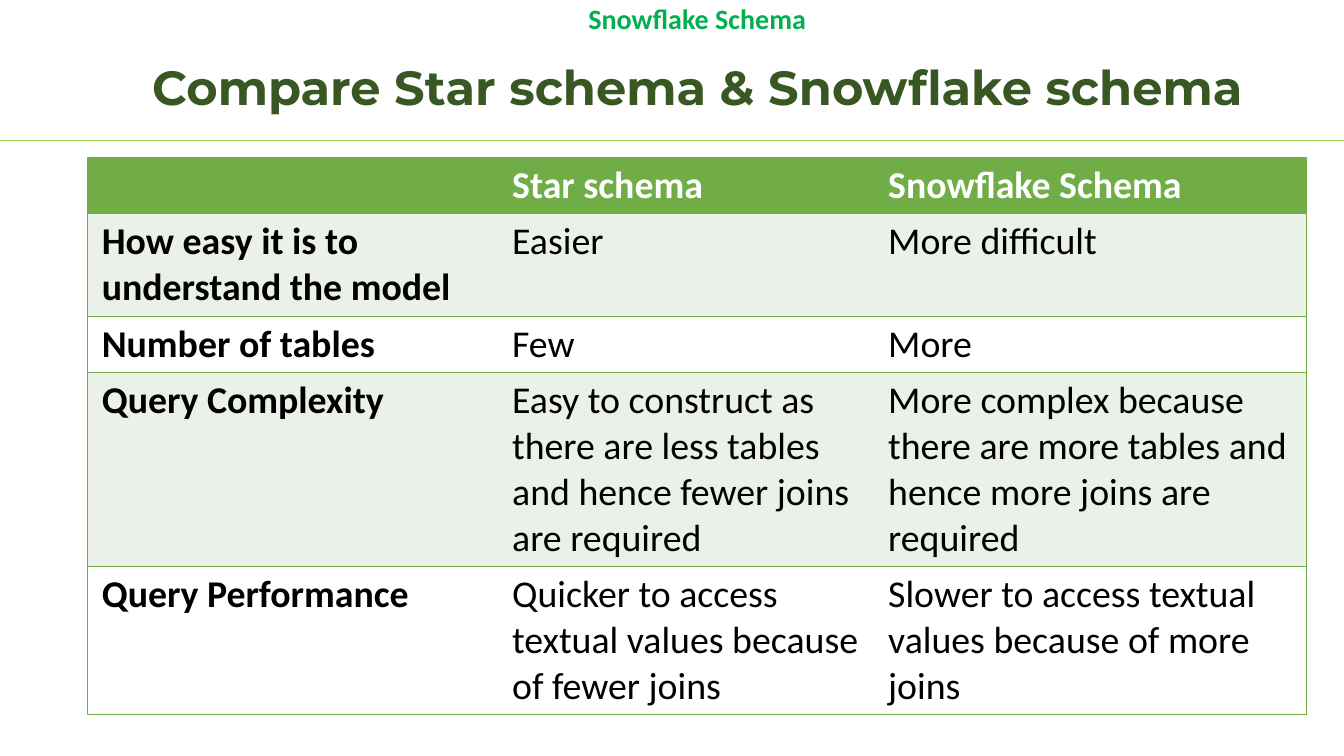
import pptx
import pptx.util
import pptx.dml.color
import pptx.enum.shapes
import pptx.enum.text
import pptx.oxml
import pptx.oxml.ns
from dataclasses import dataclass

Inches = pptx.util.Inches
Pt = pptx.util.Pt


@dataclass(frozen=True)
class Theme:
    """Colours, fonts and type sizes of the slide."""
    green: str = "70AD47"
    lime: str = "92D050"
    dark: str = "385723"
    bright: str = "00B050"
    pale: str = "EBF1E9"
    white: str = "FFFFFF"
    black: str = "000000"
    head: str = "Montserrat"
    body: str = "Calibri"
    title: float = 34.2
    label: float = 20
    cell: float = 27


def rgb(code):
    """Turn a hex code into a colour."""
    return pptx.dml.color.RGBColor.from_string(code)


class Page:
    """Draws styled elements on one slide."""

    def __init__(self, slide, theme):
        """Keep the slide and its theme."""
        self.slide, self.theme = slide, theme

    def style(self, para, face, size, color, bold):
        """Set the font of a paragraph."""
        font = para.font
        font.name, font.size, font.bold = face, Pt(size), bold
        font.color.rgb = rgb(color)

    def text(self, words, box, face, size, color, anchor):
        """Add a centred bold line of text."""
        frame = self.slide.shapes.add_textbox(*map(Inches, box)).text_frame
        frame.word_wrap = True
        frame.vertical_anchor = anchor
        para = frame.paragraphs[0]
        para.text = words
        para.alignment = pptx.enum.text.PP_ALIGN.CENTER
        para.line_spacing = 0.9
        self.style(para, face, size, color, True)

    def rule(self, top, width):
        """Add a thin line across the slide."""
        line = self.slide.shapes.add_connector(
            pptx.enum.shapes.MSO_CONNECTOR.STRAIGHT,
            0, Inches(top), Inches(width), Inches(top))
        line.line.color.rgb = rgb(self.theme.lime)
        line.line.width = Pt(0.5)
        line._element.spPr.append(pptx.oxml.parse_xml(
            f'<a:effectLst {pptx.oxml.ns.nsdecls("a")}/>'))

    def edge(self, cell, side, shown):
        """Draw or clear one border of a cell."""
        fill = (f'<a:solidFill><a:srgbClr val="{self.theme.green}"/></a:solidFill>'
                if shown else "<a:noFill/>")
        cell._tc.get_or_add_tcPr().append(pptx.oxml.parse_xml(
            f'<a:ln{side} {pptx.oxml.ns.nsdecls("a")} w="{Pt(1)}">{fill}</a:ln{side}>'))

    def cell(self, cell, words, row, col, last):
        """Fill and style one table cell."""
        look = self.theme
        shown = {"L": col == 0, "R": col == last, "T": True, "B": True}
        for side, on in shown.items():
            self.edge(cell, side, on)
        cell.fill.solid()
        cell.fill.fore_color.rgb = rgb(
            look.green if row == 0 else look.pale if row % 2 else look.white)
        cell.margin_left = cell.margin_right = Inches(0.14)
        cell.margin_top = cell.margin_bottom = Inches(0.05)
        para = cell.text_frame.paragraphs[0]
        para.text = words
        self.style(para, look.body, look.cell,
                   look.white if row == 0 else look.black, row == 0 or col == 0)

    def table(self, rows, left, top, widths, heights):
        """Add a table with a header row and banded rows."""
        grid = self.slide.shapes.add_table(
            len(rows), len(widths), Inches(left), Inches(top),
            Inches(sum(widths)), Inches(sum(heights))).table
        for part, width in zip(grid.columns, widths):
            part.width = Inches(width)
        for part, height in zip(grid.rows, heights):
            part.height = Inches(height)
        for row, line in enumerate(rows):
            for col, words in enumerate(line):
                self.cell(grid.cell(row, col), words, row, col, len(widths) - 1)


ROWS = [
    ("", "Star schema", "Snowflake Schema"),
    ("How easy it is to understand the model", "Easier", "More difficult"),
    ("Number of tables", "Few", "More"),
    ("Query Complexity",
     "Easy to construct as there are less tables and hence fewer joins are required",
     "More complex because there are more tables and hence more joins are required"),
    ("Query Performance",
     "Quicker to access textual values because of fewer joins",
     "Slower to access textual values because of more joins"),
]


def main():
    """Build and save the slide."""
    deck = pptx.Presentation()
    deck.slide_width, deck.slide_height = Inches(13.33), Inches(7.5)
    look = Theme()
    page = Page(deck.slides.add_slide(deck.slide_layouts[6]), look)
    anchor = pptx.enum.text.MSO_ANCHOR
    page.rule(1.39, 13.33)
    page.text("Compare Star schema & Snowflake schema", (0.87, 0.41, 12.09, 0.97),
              look.head, look.title, look.dark, anchor.MIDDLE)
    page.table(ROWS, 0.87, 1.56, (4.07, 3.73, 4.29), (0.56, 1.02, 0.56, 1.92, 1.47))
    page.text("Snowflake Schema", (2.62, 0, 8.59, 0.41),
              look.body, look.label, look.bright, anchor.TOP)
    deck.save("out.pptx")


if __name__ == "__main__":
    main()
